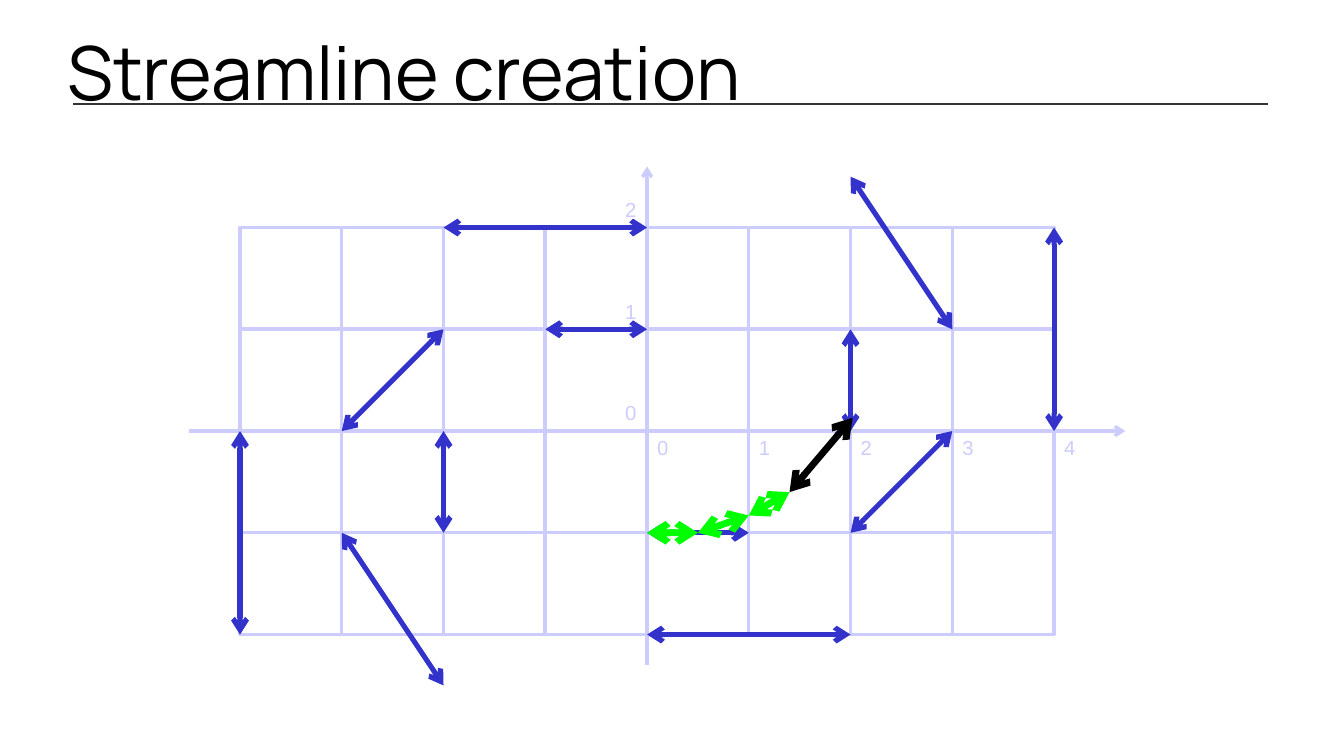
from lxml import etree
from pptx import Presentation
from pptx.dml.color import RGBColor
from pptx.enum import shapes, text
from pptx.oxml import ns
from pptx.util import Cm, Pt

UNIT = 2.12  # one grid step in cm
X0, Y0 = 13.48, 8.98  # origin of the axes in cm
PALE, BLUE, GREEN, BLACK = "CCCCFF", "3333CC", "00FF00", "000000"

prs = Presentation()
prs.slide_width, prs.slide_height = Cm(28), Cm(15.75)
s = prs.slides.add_slide(prs.slide_layouts[6])


def add_line(x1, y1, x2, y2, color, width, heads=()):
    ends = Cm(x1), Cm(y1), Cm(x2), Cm(y2)
    sp = s.shapes.add_connector(shapes.MSO_CONNECTOR.STRAIGHT, *ends)
    sp.line.color.rgb = RGBColor.from_string(color)
    sp.line.width = Pt(width)
    ln = sp.line._get_or_add_ln()
    for head in heads:
        etree.SubElement(ln, ns.qn(f"a:{head}"), type="arrow")
    etree.SubElement(sp._element.spPr, ns.qn("a:effectLst"))


def add_text(x, y, w, h, words, font, wrap, align):
    sp = s.shapes.add_textbox(Cm(x), Cm(y), Cm(w), Cm(h))
    tf = sp.text_frame
    frame = {"word_wrap": wrap, "vertical_anchor": text.MSO_ANCHOR.MIDDLE,
             "margin_left": 0, "margin_right": 0, "margin_top": 0, "margin_bottom": 0}
    for name, value in frame.items():
        setattr(tf, name, value)
    p = tf.paragraphs[0]
    p.alignment = align
    r = p.add_run()
    r.text = words
    for name, value in font.items():
        setattr(r.font, name, value)
    return r


# Rule under the title
add_line(1.52, 2.16, 26.42, 2.16, "333333", 1)

# Grid cells
for row in range(-2, 2):
    for col in range(-4, 4):
        sp = s.shapes.add_shape(shapes.MSO_SHAPE.RECTANGLE, Cm(X0 + col * UNIT),
                                Cm(Y0 + row * UNIT), Cm(UNIT), Cm(UNIT))
        sp.shadow.inherit = False
        sp.fill.background()
        sp.line.color.rgb = RGBColor.from_string(PALE)
        sp.line.width = Pt(2)

# Axis labels, centred at grid positions
labels = [(n + 0.155, -0.16, n) for n in range(5)]
labels += [(-0.16, n + 0.18, n) for n in range(3)]
for x, y, n in labels:
    r = add_text(X0 + x * UNIT - 0.37, Y0 - y * UNIT - 0.38, 0.74, 0.76, str(n),
                 {"size": Pt(12), "name": "Arial"}, False, text.PP_ALIGN.CENTER)
    r.font.color.rgb = RGBColor.from_string(PALE)

# Axes, vector field and streamline, in grid coordinates
both, tail = ("headEnd", "tailEnd"), ("tailEnd",)
groups = [
    (PALE, 2, tail, [(-4.5, 0, 4.7, 0), (0, -2.3, 0, 2.6)]),
    (BLUE, 3, both, [
        (0, -1, 1, -1), (2, 0, 2, 1), (4, 0, 4, 2), (-4, 0, -4, -2),
        (-2, 0, -2, -1), (0, 1, -1, 1), (0, 2, -2, 2), (0, -2, 2, -2),
        (2, -1, 3, 0), (-2, 1, -3, 0), (3, 1, 2, 2.5), (-3, -1, -2, -2.5)]),
    (GREEN, 4, both, [(1, -0.83, 1.4, -0.6), (0.5, -1, 1, -0.83), (0, -1, 0.5, -1)]),
    (BLACK, 4, both, [(1.4, -0.6, 2.02, 0.13)]),
]
for color, width, heads, arrows in groups:
    for x1, y1, x2, y2 in arrows:
        add_line(X0 + x1 * UNIT, Y0 - y1 * UNIT, X0 + x2 * UNIT, Y0 - y2 * UNIT,
                 color, width, heads)

# Title
r = add_text(1.4, 0.41, 25.2, 2.11, "Streamline creation",
             {"size": Pt(44), "name": "Manrope"}, True, text.PP_ALIGN.LEFT)
r.font.color.rgb = RGBColor.from_string(BLACK)

prs.save("out.pptx")
